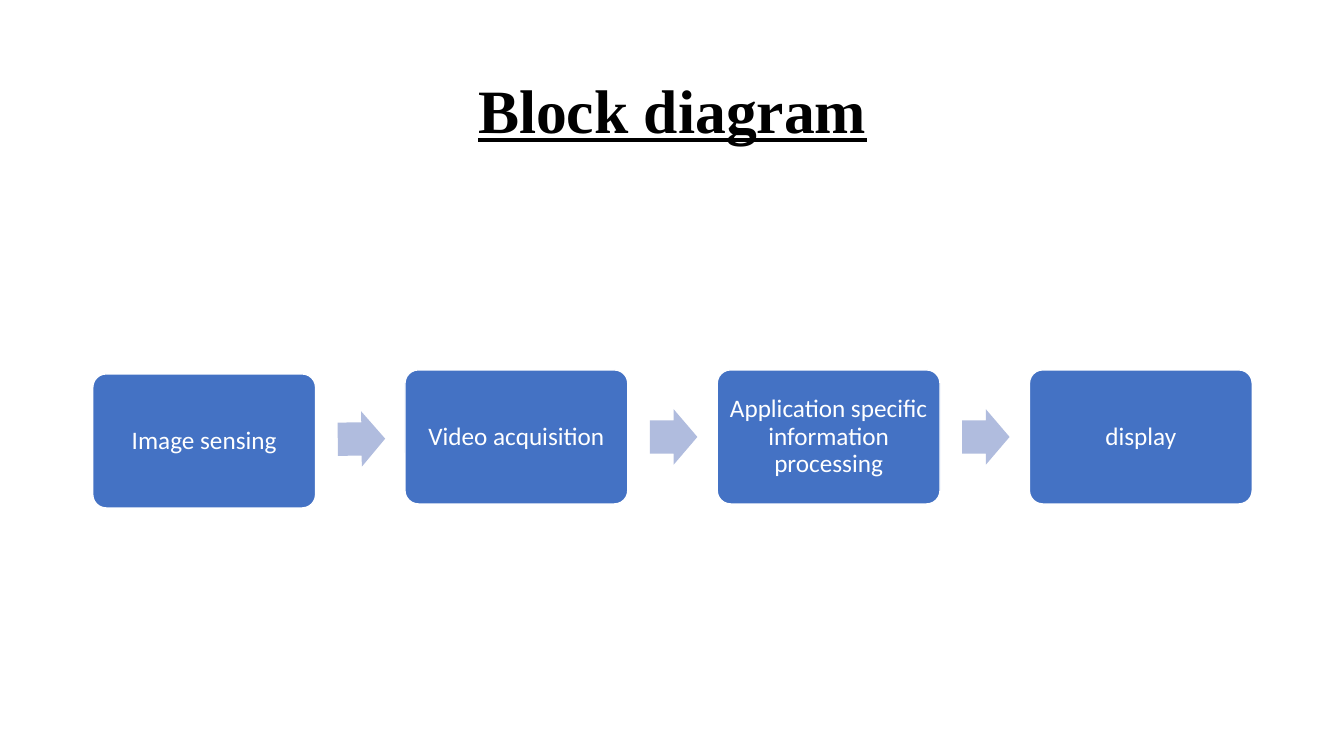
from pptx import Presentation
from pptx.dml.color import RGBColor
from pptx.enum.shapes import MSO_SHAPE
from pptx.enum.text import MSO_ANCHOR, PP_ALIGN
from pptx.util import Inches, Pt

ROUNDED, ARROW = MSO_SHAPE.ROUNDED_RECTANGLE, MSO_SHAPE.RIGHT_ARROW
MIDDLE, CENTER = MSO_ANCHOR.MIDDLE, PP_ALIGN.CENTER

# Content: each stage with its top, each arrow with its top and rotation
TITLE = "Block diagram"
STAGES = [
    ("Image sensing", 3.71),
    ("Video acquisition", 3.67),
    ("Application specific information processing", 3.67),
    ("display", 3.67),
]
ARROWS = [(4.08, 359.3), (4.06, 0), (4.06, 0)]

# Format
COLORS = {"title": "000000", "stage": "4472C4", "arrow": "B0BCDE", "white": "FFFFFF"}
TITLE_FONT = {"name": "Times New Roman", "size": Pt(44), "bold": True, "underline": True}
STAGE_FONT = {"name": "Calibri", "size": Pt(18)}

# Layout in inches
LEFT, WIDTH = 0.92, 11.5
STAGE_W, STAGE_H = 2.21, 1.33
ARROW_W, ARROW_H, ARROW_OFFSET = 0.47, 0.55, 2.43
PITCH = (WIDTH - STAGE_W) / (len(STAGES) - 1)


def color(key):
    return RGBColor.from_string(COLORS[key])


def write(holder, text, font, color_key, inset_x, inset_y):
    frame = holder.text_frame
    frame.word_wrap = True
    frame.vertical_anchor = MIDDLE
    frame.margin_left = frame.margin_right = Inches(inset_x)
    frame.margin_top = frame.margin_bottom = Inches(inset_y)
    paragraph = frame.paragraphs[0]
    paragraph.alignment = CENTER
    paragraph.line_spacing = 0.9
    run = paragraph.add_run()
    run.text = text
    for attribute, value in font.items():
        setattr(run.font, attribute, value)
    run.font.color.rgb = color(color_key)


def add_block(slide, preset, box, adjustments, fill_key):
    block = slide.shapes.add_shape(preset, *map(Inches, box))
    for index, value in enumerate(adjustments):
        block.adjustments[index] = value
    block.shadow.inherit = False
    block.fill.solid()
    block.fill.fore_color.rgb = color(fill_key)
    return block


def main():
    deck = Presentation()
    deck.slide_width, deck.slide_height = Inches(13.33), Inches(7.5)
    slide = deck.slides.add_slide(deck.slide_layouts[6])

    # Title
    title = slide.shapes.add_textbox(*map(Inches, (LEFT, 0.4, WIDTH, 1.45)))
    write(title, TITLE, TITLE_FONT, "title", 0.1, 0.05)

    # Stages
    for index, (label, top) in enumerate(STAGES):
        box = (LEFT + index * PITCH, top, STAGE_W, STAGE_H)
        stage = add_block(slide, ROUNDED, box, [0.1], "stage")
        stage.line.color.rgb = color("white")
        stage.line.width = Pt(1)
        write(stage, label, STAGE_FONT, "white", 0.07, 0.07)

    # Arrows between the stages
    for index, (top, rotation) in enumerate(ARROWS):
        box = (LEFT + index * PITCH + ARROW_OFFSET, top, ARROW_W, ARROW_H)
        arrow = add_block(slide, ARROW, box, [0.6, 0.5], "arrow")
        arrow.line.fill.background()
        arrow.rotation = rotation

    deck.save("out.pptx")


if __name__ == "__main__":
    main()
